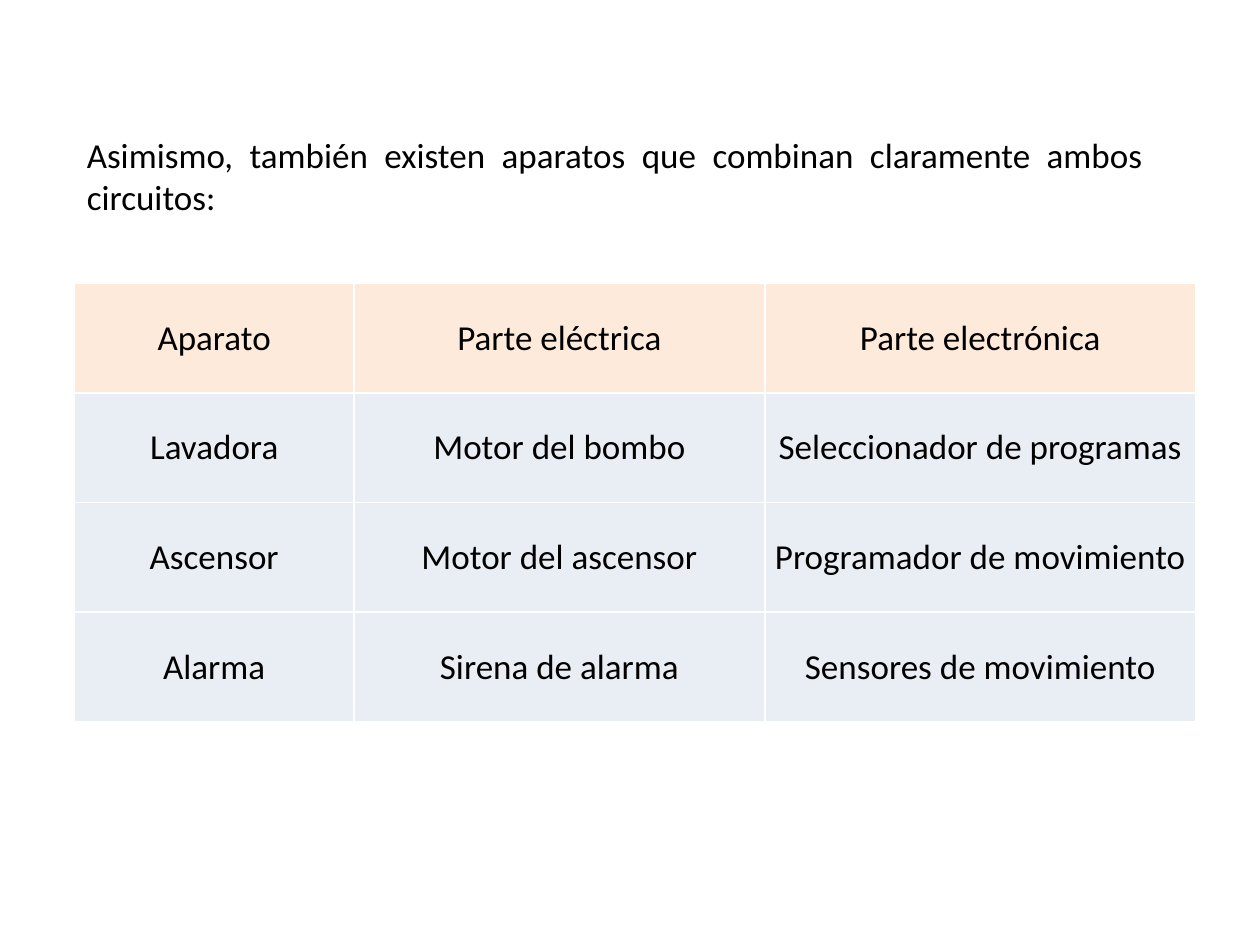
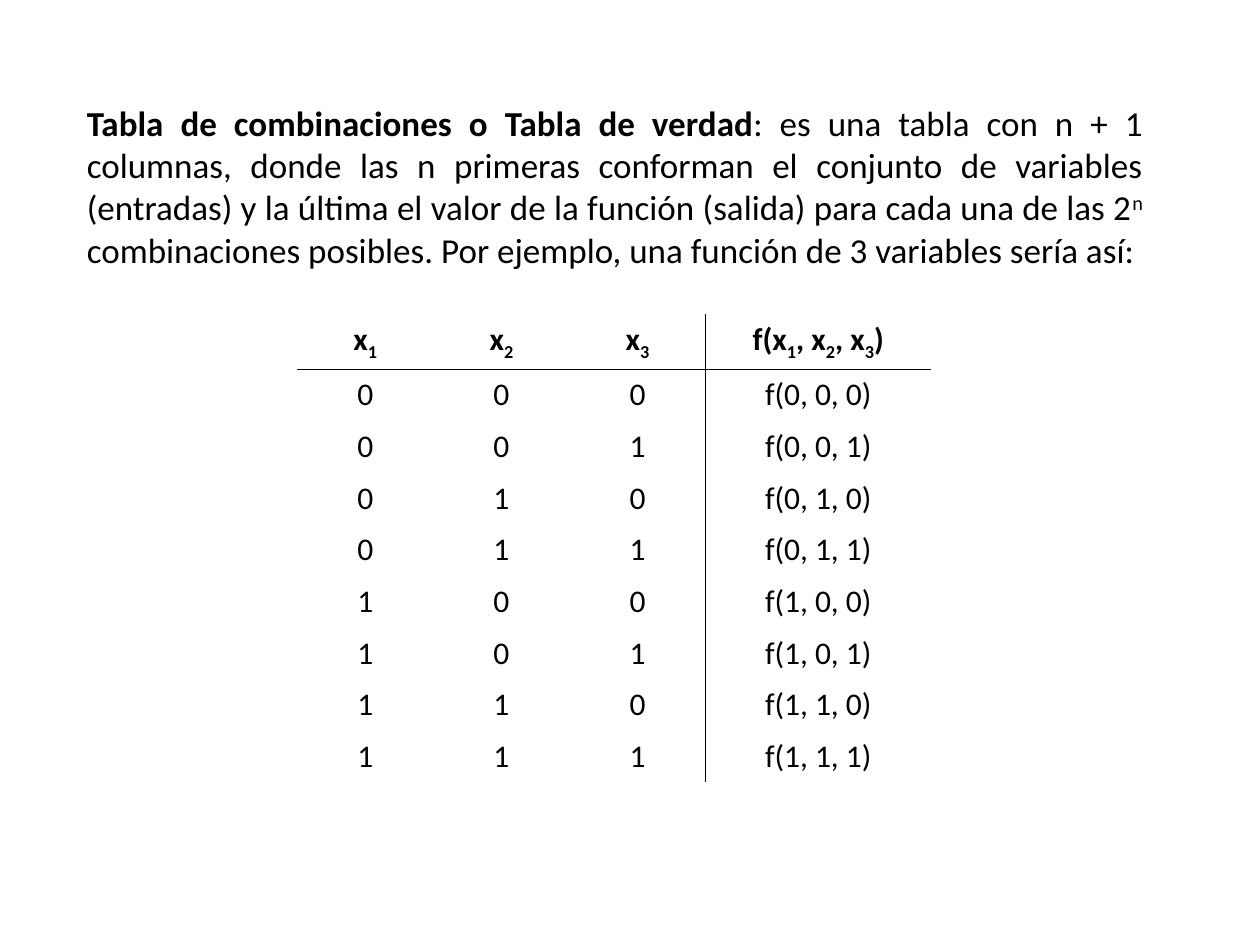
from itertools import product

from lxml.etree import SubElement
from pptx import Presentation
from pptx.dml.color import RGBColor
from pptx.enum.text import MSO_ANCHOR as ANCHOR, MSO_AUTO_SIZE as AUTO_SIZE, PP_ALIGN as ALIGN
from pptx.oxml.ns import qn
from pptx.util import Inches, Pt

FONT = "Calibri"
BLACK = RGBColor(0x00, 0x00, 0x00)
WHITE = RGBColor(0xFF, 0xFF, 0xFF)
PEACH = RGBColor(0xFD, 0xEA, 0xDA)
PALE_BLUE = RGBColor(0xE9, 0xED, 0xF4)
TEXT_LEFT, TEXT_WIDTH = 0.59, 8.58


def add_run(p, text, size=20, bold=False, baseline=0):
    r = p.add_run()
    r.text = text
    r.font.name = FONT
    r.font.size = Pt(size)
    r.font.bold = bold
    r.font.color.rgb = BLACK
    if baseline:
        r._r.get_or_add_rPr().set("baseline", str(baseline * 1000))


def add_subscripted(p, text, **fmt):
    head, *parts = text.split("_")
    add_run(p, head, **fmt)
    for part in parts:
        add_run(p, part[0], baseline=-25, **fmt)
        if part[1:]:
            add_run(p, part[1:], **fmt)


def add_paragraph_box(slide, top, height, runs, space_after=0):
    sp = slide.shapes.add_textbox(Inches(TEXT_LEFT), Inches(top),
                                  Inches(TEXT_WIDTH), Inches(height))
    tf = sp.text_frame
    tf.word_wrap = True
    tf.auto_size = AUTO_SIZE.SHAPE_TO_FIT_TEXT
    p = tf.paragraphs[0]
    p.alignment = ALIGN.JUSTIFY
    p.space_after = Pt(space_after)
    for text, fmt in runs:
        add_run(p, text, **fmt)


def set_borders(cell, colors):
    tcPr = cell._tc.get_or_add_tcPr()
    for side in "LRTB":
        ln = SubElement(tcPr, qn(f"a:ln{side}"), w=str(Pt(1)))
        color = colors.get(side)
        if color is None:
            SubElement(ln, qn("a:noFill"))
        else:
            fill = SubElement(ln, qn("a:solidFill"))
            SubElement(fill, qn("a:srgbClr"), val=str(color))


def add_grid(slide, left, top, widths, row_height, rows, style_cell, margin=None, size=20,
             bold_header=False):
    frame = slide.shapes.add_table(len(rows), len(widths), Inches(left), Inches(top),
                                   Inches(sum(widths)), Inches(row_height * len(rows)))
    table = frame.table
    table.first_row = table.horz_banding = False
    for column, width in zip(table.columns, widths):
        column.width = Inches(width)
    for i, row in enumerate(rows):
        table.rows[i].height = Inches(row_height)
        for j, text in enumerate(row):
            cell = table.cell(i, j)
            cell.vertical_anchor = ANCHOR.MIDDLE
            if margin is not None:
                cell.margin_left = cell.margin_right = Inches(margin)
                cell.margin_top = cell.margin_bottom = Inches(margin)
            p = cell.text_frame.paragraphs[0]
            p.alignment = ALIGN.CENTER
            add_subscripted(p, text, size=size, bold=bold_header and i == 0)
            style_cell(cell, i, j)


def style_device_cell(cell, i, j):
    set_borders(cell, dict.fromkeys("LRTB", WHITE))
    cell.fill.solid()
    cell.fill.fore_color.rgb = PEACH if i == 0 else PALE_BLUE


def style_truth_cell(cell, i, j):
    ruled = {"B": i == 0, "T": i == 1, "R": j == 2, "L": j == 3}
    set_borders(cell, {side: BLACK for side, on in ruled.items() if on})
    cell.fill.background()


def build_devices(slide):
    add_paragraph_box(slide, 1.01, 0.77, [
        ("Asimismo, también existen aparatos que combinan claramente ambos circuitos:", {})])
    rows = [
        ("Aparato", "Parte eléctrica", "Parte electrónica"),
        ("Lavadora", "Motor del bombo", "Seleccionador de programas"),
        ("Ascensor", "Motor del ascensor", "Programador de movimiento"),
        ("Alarma", "Sirena de alarma", "Sensores de movimiento"),
    ]
    add_grid(slide, TEXT_LEFT, 2.25, (2.22, 3.26, 3.42), 0.87, rows, style_device_cell,
             margin=0.04)


def build_truth_table(slide):
    add_paragraph_box(slide, 0.76, 1.45, [
        ("Tabla de combinaciones o Tabla de verdad", {"bold": True}),
        (": es una tabla con n + 1 columnas, donde las n primeras conforman el conjunto de "
         "variables (entradas) y la última el valor de la función (salida) para cada una "
         "de las 2", {}),
        ("n", {"baseline": 30}),
        (" combinaciones posibles. Por ejemplo, una función de 3 variables sería así:", {}),
    ], space_after=6)
    rows = [("x_1", "x_2", "x_3", "f(x_1, x_2, x_3)")]
    rows += [(*bits, f"f({', '.join(bits)})") for bits in product("01", repeat=3)]
    add_grid(slide, 2.36, 2.49, (1.08, 1.08, 1.08, 1.79), 0.41, rows, style_truth_cell,
             size=18, bold_header=True)


def main():
    prs = Presentation()
    prs.slide_width, prs.slide_height = Inches(10), Inches(7.5)
    blank = prs.slide_layouts[6]
    for build in (build_devices, build_truth_table):
        build(prs.slides.add_slide(blank))
    prs.save("out.pptx")


if __name__ == "__main__":
    main()
